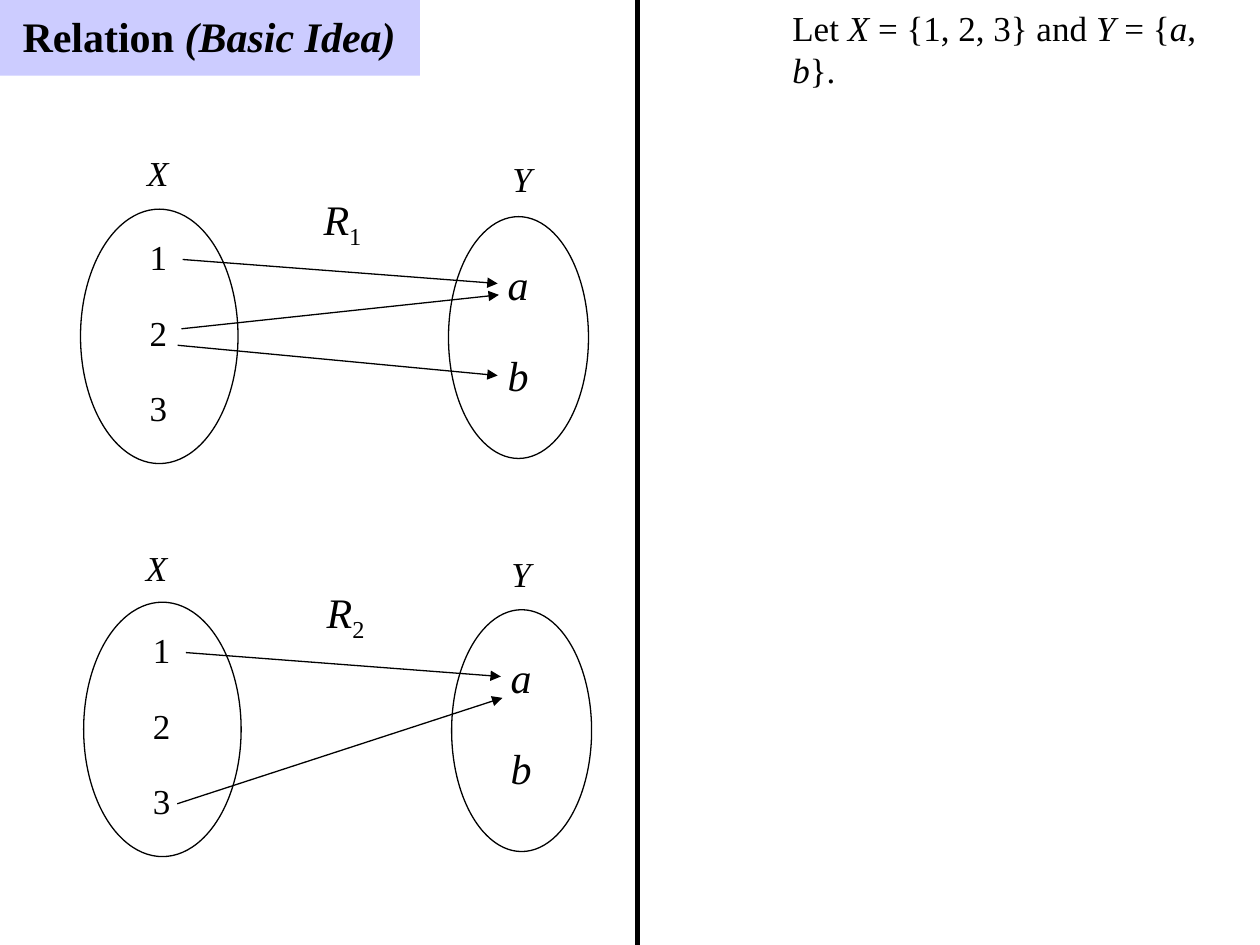
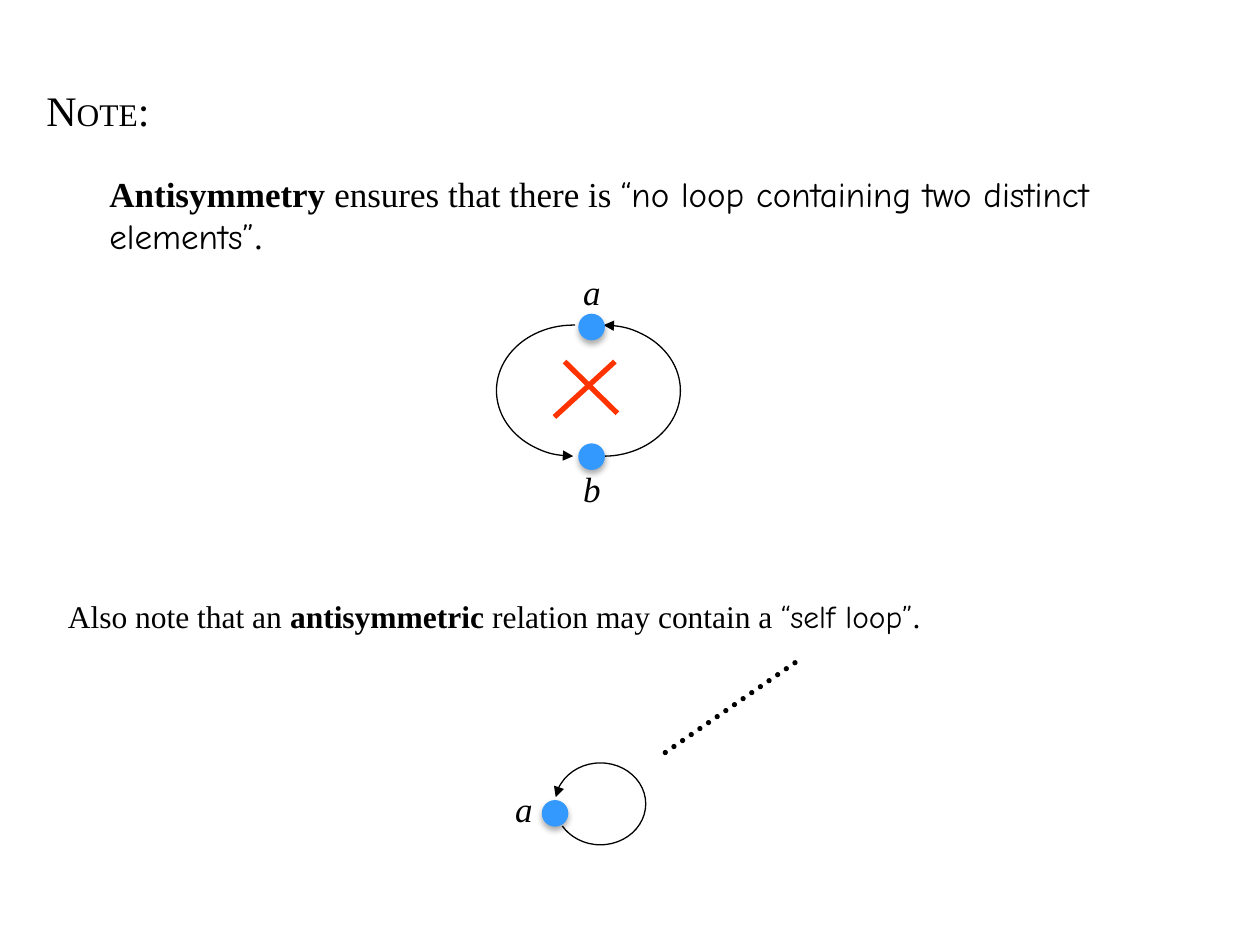
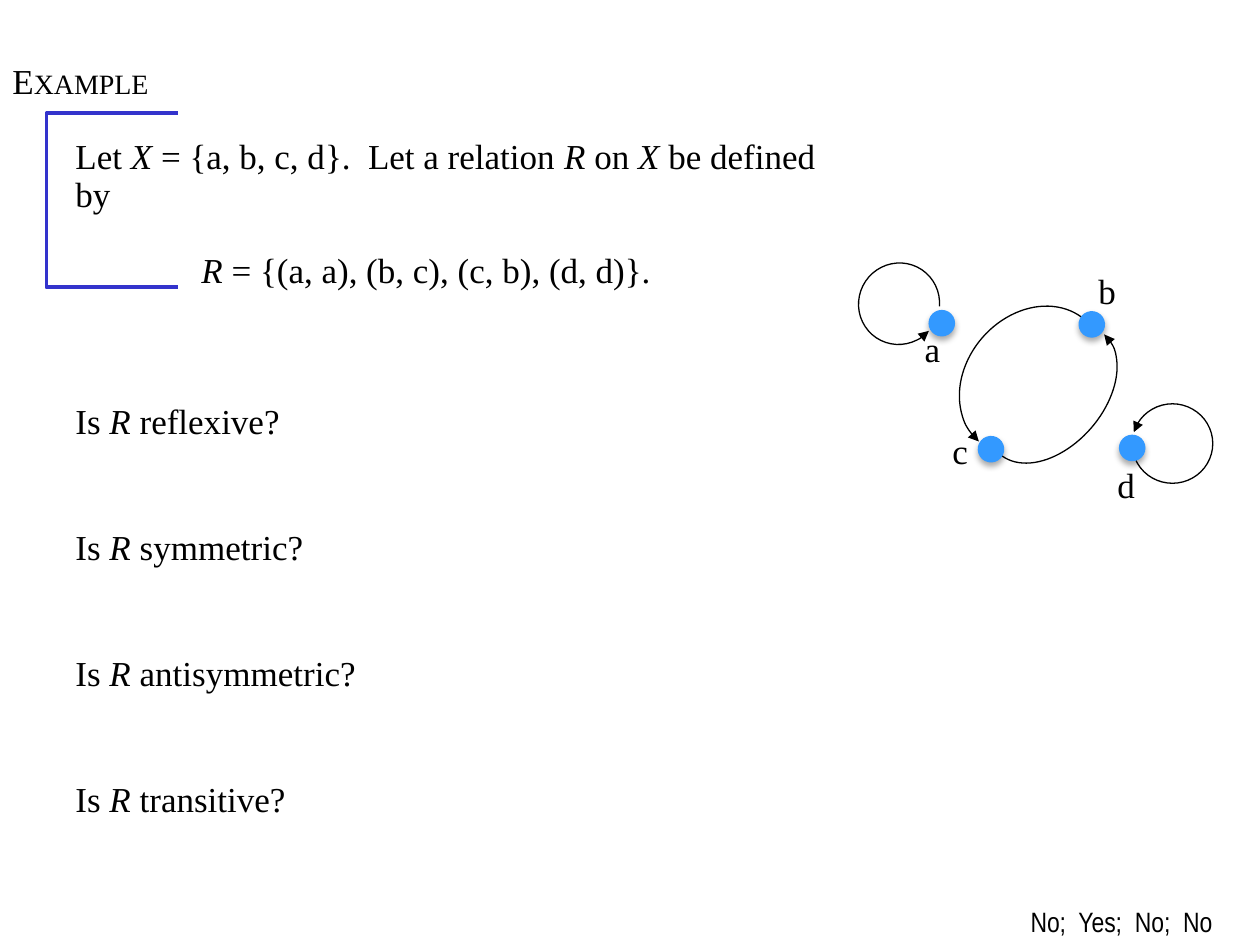
from lxml import etree
from pptx import Presentation
from pptx import util as u
from pptx.dml.color import RGBColor
from pptx.enum import dml, shapes, text
from pptx.oxml.ns import qn

# Shared look
COLOURS = {
    "ink": "000000",
    "band": "CCCCFF",
    "dot": "3399FF",
    "cross": "FF3300",
    "bracket": "3333CC",
}
SERIF, HAND, NARROW = "Times New Roman", "Comic Neue", "Arial Narrow"
ITALIC = {"italic": True}
BOLD = {"bold": True}
QUOTE = {"name": HAND}
DOT_SIZE = 15.2
HALF_ARC = (162, 54.96)
LOOP_ARC = (167.08, 143.9)
INDENT = 36


def colour(name):
    return RGBColor.from_string(COLOURS[name])


# Text
def add_span(para, words, size, values):
    span = para.add_run()
    span.text = words
    look = {"size": size, "name": SERIF, **values}
    baseline = look.pop("baseline", None)
    look["size"] = u.Pt(look["size"])
    for key, value in look.items():
        setattr(span.font, key, value)
    span.font.color.rgb = colour("ink")
    if baseline:
        span.font._element.set("baseline", str(baseline))


def add_text(page, left, top, width, height, paras, size=20, right=None):
    """Each para is (spans, format); a right inset turns wrapping on."""
    box = page.shapes.add_textbox(*map(u.Pt, (left, top, width, height)))
    frame = box.text_frame
    frame.word_wrap = right is not None
    frame.auto_size = text.MSO_AUTO_SIZE.SHAPE_TO_FIT_TEXT
    if right is not None:
        frame.margin_right = u.Pt(right)
    for index, (spans, values) in enumerate(paras):
        para = frame.add_paragraph() if index else frame.paragraphs[0]
        for key, value in values.items():
            if key == "indent":
                para._p.get_or_add_pPr().set("marL", str(u.Pt(value)))
            else:
                setattr(para, key, value)
        for words, look in spans:
            add_span(para, words, size, look)


def add_label(page, left, top, words, values=ITALIC):
    add_text(page, left, top, 24.5, 31, [([(words, values)], {})])


def add_column(page, left, top, width, height, items, size, values):
    """Items of a set, one line apart."""
    gap = {"line_spacing": 0.9, "space_before": u.Pt(size * 1.08)}
    paras = [([(item, values)], gap if index else {"line_spacing": 0.9})
             for index, item in enumerate(items)]
    add_text(page, left, top, width, height, paras, size)


# Lines and shapes
def style_line(line, name="ink", width=0.75, arrow=None):
    line.color.rgb = colour(name)
    line.width = u.Pt(width)
    if arrow:
        end = etree.SubElement(line._get_or_add_ln(), qn("a:" + arrow))
        end.set("type", "triangle")


def add_line(holder, start, finish, name="ink", width=0.75, arrow=None):
    line = holder.shapes.add_connector(
        shapes.MSO_CONNECTOR.STRAIGHT, *map(u.Pt, (*start, *finish)))
    style_line(line.line, name, width, arrow)
    etree.SubElement(line._element.spPr, qn("a:effectLst"))
    return line


def add_preset(page, kind, left, top, width, height, fill=None):
    shape = page.shapes.add_shape(kind, *map(u.Pt, (left, top, width, height)))
    shape.shadow.inherit = False
    if fill:
        shape.fill.solid()
        shape.fill.fore_color.rgb = colour(fill)
        shape.line.fill.background()
    else:
        shape.fill.background()
    return shape


def add_oval(page, left, top, width, height):
    oval = add_preset(page, shapes.MSO_SHAPE.OVAL, left, top, width, height)
    style_line(oval.line)


def add_arc(page, left, top, width, height, angles, rotation=0, flip=False):
    arc = add_preset(page, shapes.MSO_SHAPE.ARC, left, top, width, height)
    for index, angle in enumerate(angles):
        arc.adjustments[index] = angle
    arc.rotation = rotation
    if flip:
        for key in ("flipH", "flipV"):
            arc._element.spPr.xfrm.set(key, "1")
    style_line(arc.line, arrow="headEnd")


def add_dot(page, left, top, rotation=0):
    dot = add_preset(page, shapes.MSO_SHAPE.OVAL, left, top,
                     DOT_SIZE, DOT_SIZE, "dot")
    dot.rotation = rotation
    effects = dot._element.spPr.find(qn("a:effectLst"))
    shadow = etree.SubElement(effects, qn("a:outerShdw"))
    values = {"blurRad": u.Pt(3.5), "dist": u.Pt(2.2),
              "dir": 90 * 60000, "rotWithShape": 0}
    for key, value in values.items():
        shadow.set(key, str(value))
    tint = etree.SubElement(shadow, qn("a:srgbClr"), val=COLOURS["ink"])
    etree.SubElement(tint, qn("a:alpha"), val="32000")


# Slide 1: two relations between the sets X and Y
def add_relation(page, number, x, y, arrows):
    add_oval(page, x + 46, y + 119.5, 90, 145.4)
    add_oval(page, x + 256.3, y + 123.8, 80, 138.2)
    add_column(page, x + 78.5, y + 133.9, 24.5, 115.2, "123", 20, {})
    add_column(page, x + 283, y + 147.6, 26.6, 85, "ab", 24, ITALIC)
    for start, finish in arrows:
        add_line(page, (x + start[0], y + start[1]),
                 (x + finish[0], y + finish[1]), arrow="tailEnd")
    name = [("R", ITALIC), (number, {"baseline": -25000})]
    add_text(page, x + 177.8, y + 107, 37.4, 36, [(name, {})], 24)


def draw_basic_idea(page):
    sets = [("Let ", {}), ("X ", ITALIC), ("= {1, 2, 3} and ", {}),
            ("Y ", ITALIC), ("= {", {}), ("a", ITALIC), (", ", {}),
            ("b", ITALIC), ("}.", {})]
    add_text(page, 409.7, 0, 310.3, 31, [(sets, {"indent": INDENT})], right=20)
    one_to_a = ((104.4, 148.3), (284.4, 162))
    two_to_a = ((103.7, 187.9), (285.1, 168.5))
    two_to_b = ((101.5, 197.3), (284.4, 214.6))
    three_to_a = ((99.5, 234.7), (285.3, 174.2))
    add_relation(page, "1", 0, 0, [one_to_a, two_to_a, two_to_b])
    add_relation(page, "2", 1.8, 224.6, [one_to_a, three_to_a])
    for x, y in ((77, 82.8), (76.3, 308.9)):
        add_label(page, x, y, "X")
        add_label(page, x + 208.8, y + 3.4, "Y")
    add_line(page, (364.3, 0), (364.3, 540), width=3)
    # Title band
    add_preset(page, shapes.MSO_SHAPE.RECTANGLE, 0, 0, 240, 43.2, "band")
    title = [("Relation ", BOLD), ("(Basic Idea)", {**BOLD, **ITALIC})]
    add_text(page, 5.8, 2.2, 227.5, 36, [(title, {})], 24)


# Slide 2: antisymmetry
def draw_antisymmetry(page):
    heading = [("N", {"size": 24}), ("OTE", {"size": 18}), (":", {"size": 24})]
    rule = [("Antisymmetry ", BOLD), ("ensures that there is ", {}),
            ("\u201cno loop containing two distinct elements\u201d", QUOTE),
            (".", {})]
    add_text(page, 19.4, 44.6, 704.2, 82, [
        (heading, {}),
        (rule, {"indent": INDENT, "space_before": u.Pt(21.6)}),
    ], right=36)
    remark = [("Also note that an ", {}), ("antisymmetric ", BOLD),
              ("relation may contain a ", {}),
              ("\u201cself loop\u201d", QUOTE), (".", {})]
    add_text(page, 31.7, 337.7, 512.6, 28.8, [(remark, {})], 18)
    pointer = add_line(page, (454.3, 378.7), (377.3, 432), width=3)
    pointer.line.dash_style = dml.MSO_LINE.ROUND_DOT
    pointer.line._get_or_add_ln().set("cap", "rnd")
    # Self loop
    add_label(page, 287.3, 446.4, "a")
    add_arc(page, 319.7, 433.4, 46.8, 51.8, LOOP_ARC, 270)
    add_dot(page, 309.6, 457.2)
    # Forbidden loop
    add_arc(page, 301, 185.8, 87.8, 74.9, HALF_ARC)
    add_arc(page, 283.7, 185.8, 87.8, 74.9, HALF_ARC, flip=True)
    for top in (179.3, 253.4):
        add_dot(page, 330.5, top)
    add_label(page, 326.2, 151.2, "a")
    add_label(page, 326.2, 263.5, "b")
    cross = page.shapes.add_group_shape()
    add_line(cross, (322.6, 206.6), (352.8, 236.2), "cross", 3)
    add_line(cross, (316.8, 238.3), (351.4, 206.6), "cross", 3)


# Slide 3: example with questions
def draw_example(page):
    def layout(gap, indent=INDENT):
        return {"indent": indent, "line_spacing": 0.9,
                "space_before": u.Pt(gap)}

    setting = [("Let", {}), (" X", ITALIC),
               (" = {a, b, c, d}.  Let a relation ", {}), ("R", ITALIC),
               (" on ", {}), ("X", ITALIC), (" be defined by", {})]
    pairs = [("R", ITALIC), (" = {(a, a), (b, c), (c, b), (d, d)}.", {})]
    paras = [([("E", {}), ("XAMPLE", {"size": 16})], {"line_spacing": 0.9}),
             (setting, layout(21.6)),
             (pairs, layout(21.6, 3 * INDENT))]
    traits = ("reflexive", "symmetric", "antisymmetric", "transitive")
    for index, trait in enumerate(traits):
        question = [("Is ", {}), ("R", ITALIC), (f" {trait}?", {})]
        paras.append((question, layout(50.4 if index else 64.8)))
    add_text(page, 0, 33.1, 497.5, 446.4, paras, right=20)
    bracket = add_preset(page, shapes.MSO_SHAPE.LEFT_BRACKET,
                         26.6, 64.8, 74.9, 99.4)
    bracket.adjustments[0] = 0
    style_line(bracket.line, "bracket", 2.25)
    # Graph of the relation
    for name, left, top in (("a", 521.3, 183.6), ("b", 620.6, 150.5),
                            ("c", 537.1, 241.9), ("d", 631.4, 261.4)):
        add_label(page, left, top, name, {})
    add_arc(page, 490.3, 150.5, 46.8, 46.1, LOOP_ARC, 123.8)
    add_arc(page, 571.7, 180, 59, 90.7, HALF_ARC, 41)
    add_arc(page, 552.2, 171.4, 74.9, 92.2, HALF_ARC, 41, flip=True)
    add_arc(page, 647.3, 230.4, 45.4, 46.1, (171.84, 156.91), 270)
    for left, top, rotation in ((530.6, 177.1, 0), (616.3, 177.8, 41),
                                (558.7, 249.1, 41), (639.4, 248.4, 0)):
        add_dot(page, left, top, rotation)
    # Answers
    answers = [("No;  Yes;  No;  No", {"name": NARROW})]
    add_text(page, 581.8, 513.4, 120.2, 26.6, [(answers, {})], 16)


def main():
    deck = Presentation()
    deck.slide_width, deck.slide_height = u.Pt(720), u.Pt(540)
    for draw in (draw_basic_idea, draw_antisymmetry, draw_example):
        draw(deck.slides.add_slide(deck.slide_layouts[6]))
    deck.save("out.pptx")


main()
